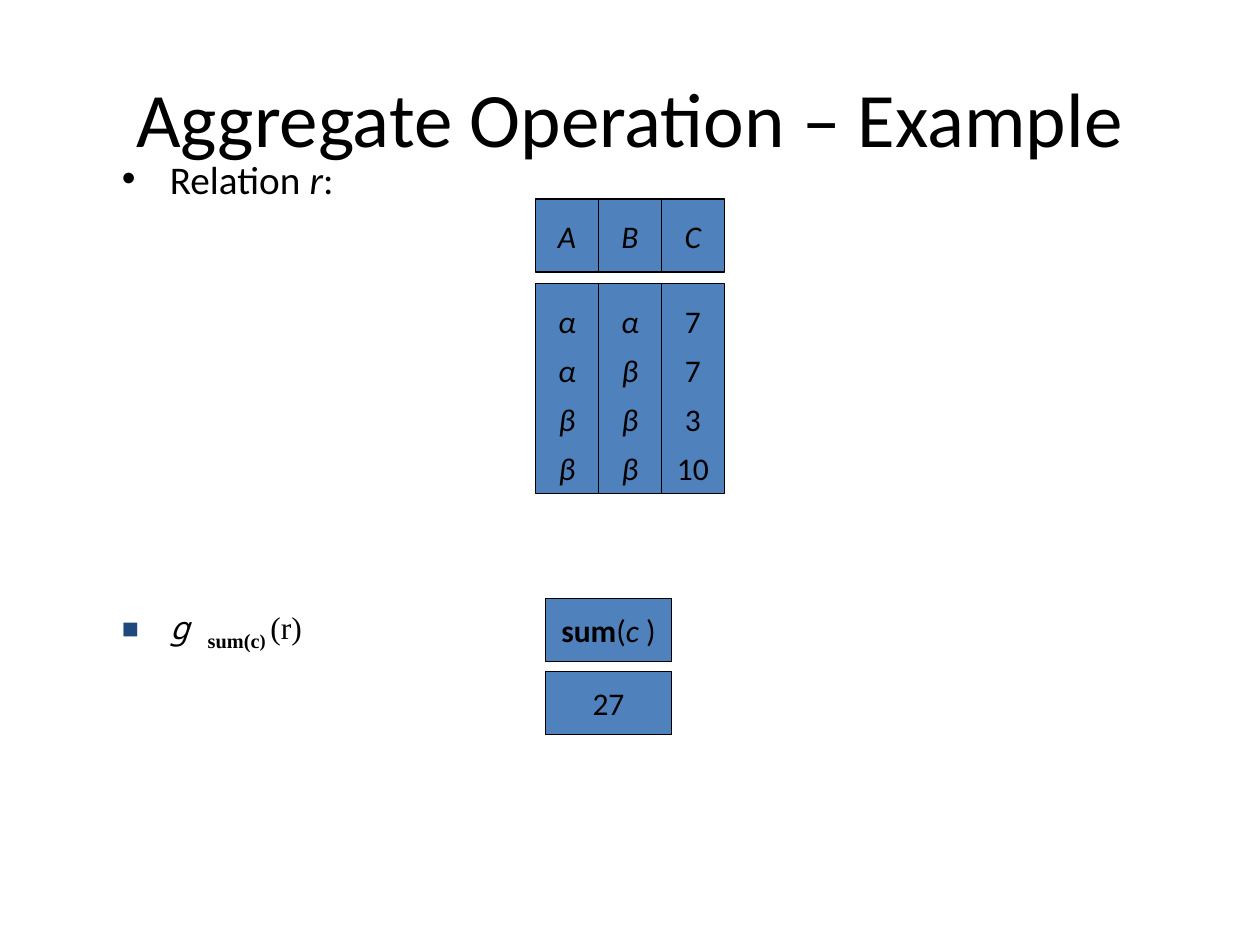
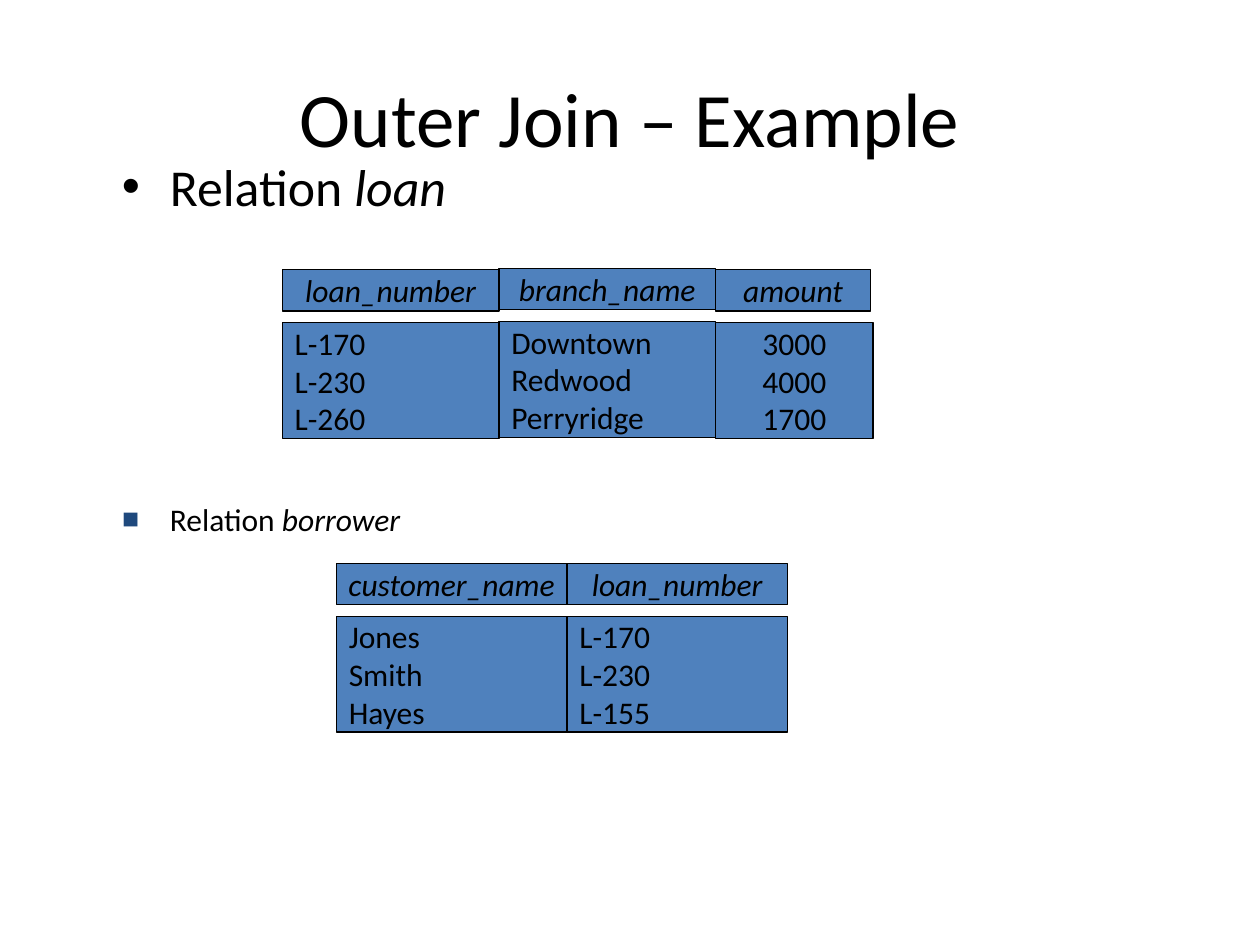
"""Build two slides on relational algebra: an aggregate and an outer join."""
import pptx
import pptx.util
import pptx.dml.color
import pptx.enum.shapes
import pptx.enum.text
import pptx.oxml.ns
import lxml.etree

Inches, Pt = pptx.util.Inches, pptx.util.Pt
ALIGN = pptx.enum.text.PP_ALIGN
MID = pptx.enum.text.MSO_ANCHOR.MIDDLE

HUES = {"ink": "000000", "cell": "4F81BD", "mark": "1F497D"}
FONT, SIZE, EDGE = "Calibri", 18, 0.75
TIMES = {"face": "Times New Roman"}
SUB = {**TIMES, "style": "b", "base": -25}
ITAL = {"style": "i"}

DOT = {"char": "•"}
BOX = {"char": "■", "hue": "mark", "scale": 90}

DECK = [
    {
        "title": "Aggregate Operation – Example",
        "points": [
            ((0.87, 1.18, 1.93, 0.63), DOT, 22.4,
             [("Relation ", {}), ("r", ITAL), (":", {})]),
            ((0.87, 4.75, 2.2, 0.61), BOX, SIZE,
             [("g ", {"face": "Noto Sans Mono", "style": "i"}),
              ("sum(c", {**SUB, "size": 20}), (") ", SUB), ("(r)", TIMES)]),
        ],
        "grids": [
            {"at": (4.25, 1.58), "high": (0.58, 1.67), "gap": 0.09, "lead": 1.3,
             "cols": [
                 {"wide": 0.5, "head": [("A", ITAL)], "body": "ααββ", "look": ITAL},
                 {"wide": 0.5, "head": [("B", ITAL)], "body": "αβββ", "look": ITAL},
                 {"wide": 0.5, "head": [("C", ITAL)], "body": ["7", "7", "3", "10"]},
             ]},
            {"at": (4.33, 4.75), "high": (0.5, 0.5), "gap": 0.08,
             "cols": [
                 {"wide": 1, "body": ["27"],
                  "head": [("sum", {"style": "b"}), ("(", {}), ("c ", ITAL), (")", {})]},
             ]},
        ],
    },
    {
        "title": "Outer Join – Example",
        "points": [
            ((0.87, 1.18, 7.5, 0.53), DOT, 29.6, [("Relation ", {}), ("loan", ITAL)]),
            ((0.87, 3.92, 7.69, 0.53), BOX, SIZE, [("Relation ", {}), ("borrower", ITAL)]),
        ],
        "grids": [
            {"at": (2.67, 4.47), "high": (0.33, 0.92), "gap": 0.09, "group": True,
             "cols": [
                 {"wide": 1.83, "head": [("customer_name", ITAL)], "left": True,
                  "body": ["Jones", "Smith", "Hayes"]},
                 {"wide": 1.75, "head": [("loan_number", ITAL)], "left": True,
                  "body": ["L-170", "L-230", "L-155"]},
             ]},
            {"at": (2.24, 2.14), "high": (0.33, 0.92), "gap": 0.09, "group": True,
             "cols": [
                 {"wide": 1.72, "head": [("loan_number", ITAL)], "left": True,
                  "body": ["L-170", "L-230", "L-260"]},
                 {"wide": 1.72, "head": [("branch_name", ITAL)], "left": True, "rise": 0.01,
                  "body": ["Downtown", "Redwood", "Perryridge"]},
                 {"wide": 1.23, "head": [("amount", ITAL)], "extra": 0.02,
                  "body": ["3000", "4000", "1700"]},
             ]},
        ],
    },
]


def tint(name):
    return pptx.dml.color.RGBColor.from_string(HUES[name])


def write(para, runs, size=SIZE):
    for text, look in runs:
        run = para.add_run()
        run.text = text
        font = run.font
        font.name = look.get("face", FONT)
        font.size = Pt(look.get("size", size))
        font.color.rgb = tint("ink")
        font.bold = "b" in look.get("style", "")
        font.italic = "i" in look.get("style", "")
        if "base" in look:
            run._r.get_or_add_rPr().set("baseline", str(look["base"] * 1000))


def bullet(para, mark):
    props = para._p.get_or_add_pPr()
    props.set("marL", str(Inches(0.38)))
    props.set("indent", str(-Inches(0.38)))

    def add(home, tag, **attrs):
        return lxml.etree.SubElement(home, pptx.oxml.ns.qn(tag), **attrs)

    if "hue" in mark:
        add(add(props, "a:buClr"), "a:srgbClr", val=HUES[mark["hue"]])
    if "scale" in mark:
        add(props, "a:buSzPct", val=str(mark["scale"] * 1000))
    add(props, "a:buFont", typeface="Arial")
    add(props, "a:buChar", char=mark["char"])


def label(slide, area, runs, size, mark=None):
    frame = slide.shapes.add_textbox(*map(Inches, area)).text_frame
    frame.word_wrap = True
    para = frame.paragraphs[0]
    if mark:
        bullet(para, mark)
    else:
        frame.vertical_anchor = MID
        para.alignment = ALIGN.CENTER
    write(para, runs, size)


def cell(shapes, area, lines, align=ALIGN.CENTER, lead=None):
    rect = shapes.add_shape(pptx.enum.shapes.MSO_SHAPE.RECTANGLE, *map(Inches, area))
    rect.shadow.inherit = False
    rect.fill.solid()
    rect.fill.fore_color.rgb = tint("cell")
    rect.line.color.rgb = tint("ink")
    rect.line.width = Pt(EDGE)
    frame = rect.text_frame
    frame.word_wrap = False
    frame.vertical_anchor = MID
    for row, runs in enumerate(lines):
        para = frame.add_paragraph() if row else frame.paragraphs[0]
        para.alignment = align
        para.line_spacing = lead
        write(para, runs)


def draw(slide, grid):
    shapes = slide.shapes
    if grid.get("group"):
        shapes = shapes.add_group_shape().shapes
    x, top = grid["at"]
    tall, deep = grid["high"]
    for col in grid["cols"]:
        y, wide = top - col.get("rise", 0), col["wide"]
        cell(shapes, (x, y, wide, tall), [col["head"]])
        lines = [[(text, col.get("look", {}))] for text in col["body"]]
        cell(shapes, (x, y + tall + grid["gap"], wide + col.get("extra", 0), deep), lines,
             ALIGN.LEFT if col.get("left") else ALIGN.CENTER, grid.get("lead"))
        x += wide


def main():
    deck = pptx.Presentation()
    deck.slide_width, deck.slide_height = Inches(10), Inches(7.5)
    for page in DECK:
        slide = deck.slides.add_slide(deck.slide_layouts[6])
        label(slide, (0.5, 0.3, 9, 1.25), [(page["title"], {})], 44)
        for area, mark, size, runs in page["points"]:
            label(slide, area, runs, size, mark)
        for grid in page["grids"]:
            draw(slide, grid)
    deck.save("out.pptx")


if __name__ == "__main__":
    main()
